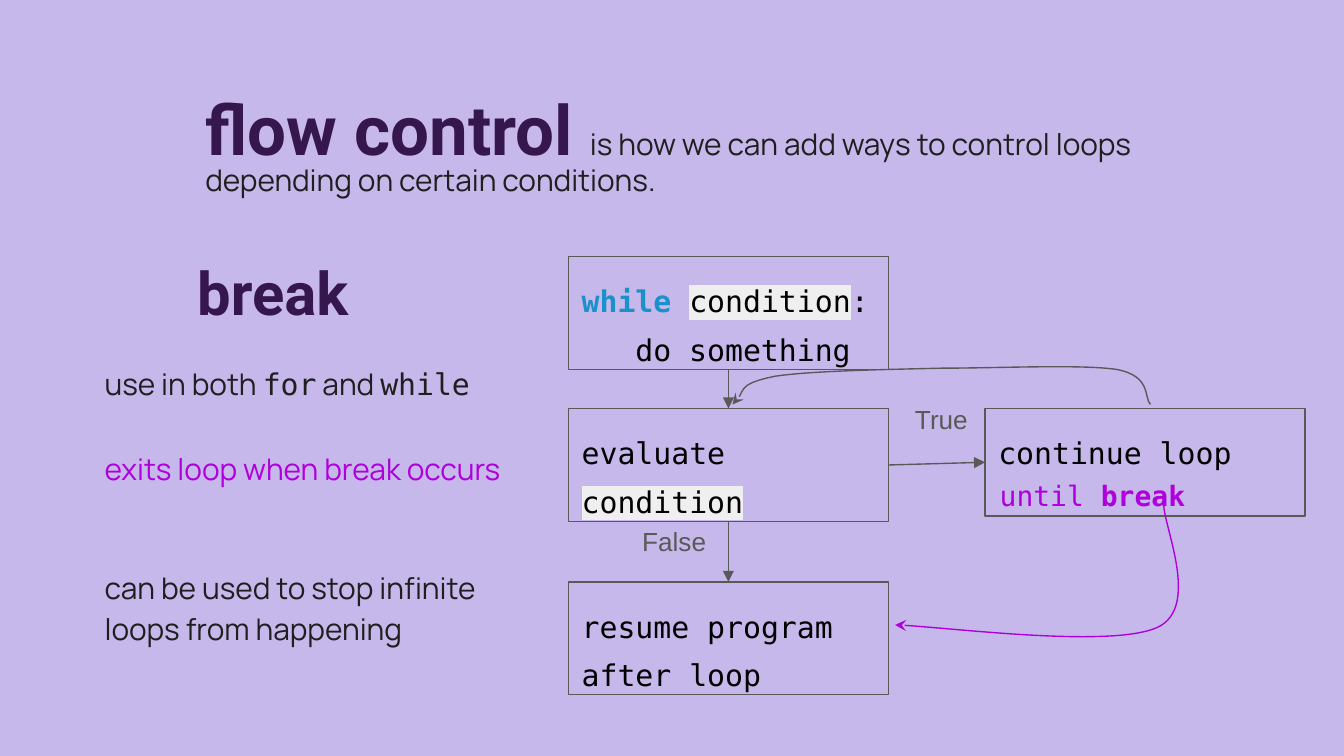
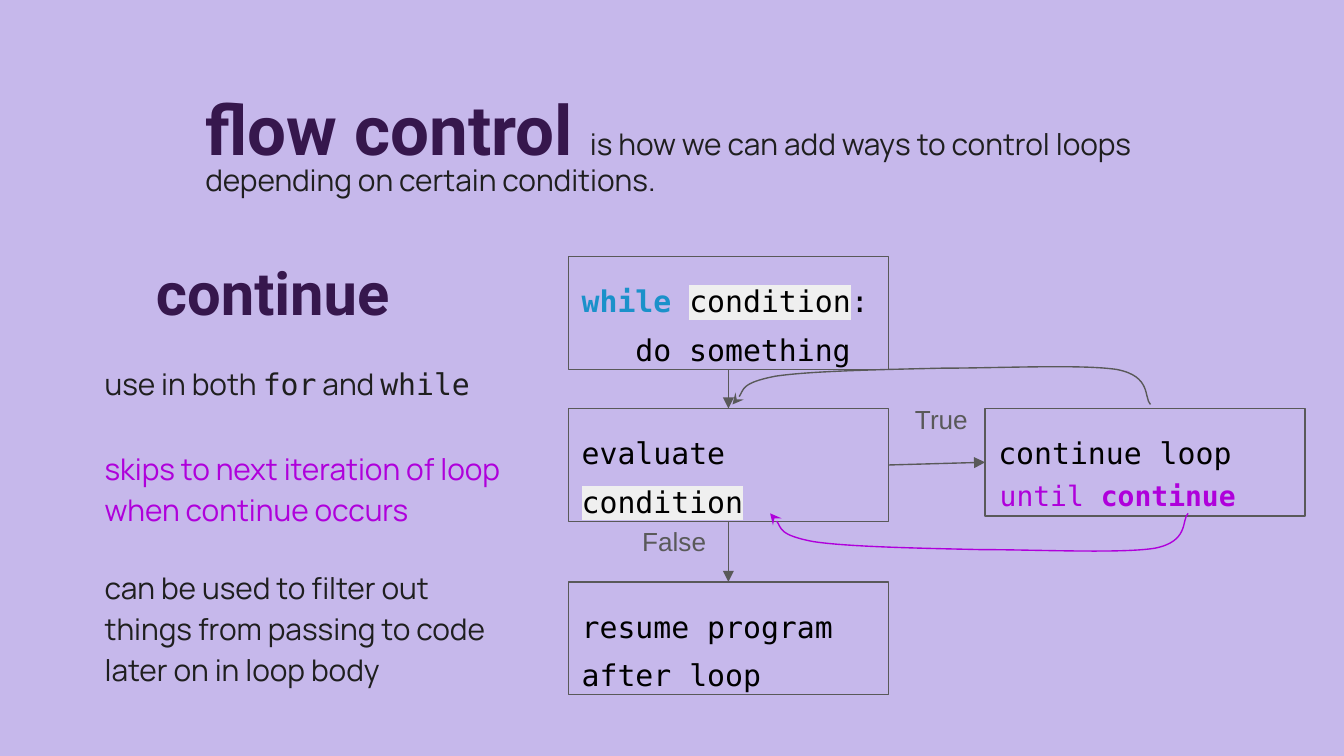
from lxml import etree
from pptx import Presentation
from pptx.dml.color import RGBColor
from pptx.enum import shapes, text
from pptx.oxml import ns
from pptx.util import Inches, Pt

COLORS = {
    "ground": "C6B8EB", "title": "36174D", "body": "1F1F1F", "accent": "AF00DB",
    "line": "595959", "keyword": "1B91CA", "code": "000000", "mark": "EFEFEF",
}
STYLES = {
    "title": dict(size=37, font="Roboto", color="title", bold=True),
    "heading": dict(size=32, font="Roboto", color="title", bold=True),
    "body": dict(size=16, font="Manrope", color="body"),
    "body_code": dict(size=16, font="DejaVu Sans Mono", color="body"),
    "accent": dict(size=16, font="Manrope", color="accent"),
    "label": dict(size=14, font="Arial", color="line"),
    "code": dict(size=16, font="DejaVu Sans Mono", color="code"),
    "marked": dict(size=16, font="DejaVu Sans Mono", color="code", mark="mark"),
    "keyword": dict(size=16, font="DejaVu Sans Mono", color="keyword", bold=True),
    "until": dict(size=15, font="DejaVu Sans Mono", color="accent"),
    "exit": dict(size=15, font="DejaVu Sans Mono", color="accent", bold=True),
}

INTRO = [[("flow control ", "title"),
          ("is how we can add ways to control loops depending on certain conditions.", "body")]]
USAGE = [("use in both ", "body"), ("for", "body_code"),
         (" and ", "body"), ("while", "body_code")]
LOOP_BACK = [(85.6, 30.1), (85.1, 29.6), (85.7, 28), (83.1, 27.5),
             (80.5, 27.1), (74.3, 27.4), (70.1, 27.4),
             (65.9, 27.5), (60.3, 27.6), (57.7, 28),
             (55.1, 28.5), (55.1, 29.7), (54.5, 30.1)]
BREAK_OUT = [(86.6, 37.5), (86.5, 39), (89.4, 45.2), (86.1, 46.7),
             (82.7, 48.2), (69.9, 46.6), (66.6, 46.5)]
SKIP_BACK = [(x + 2.8, 68.3 - y) for x, y in LOOP_BACK]

SLIDES = [
    dict(word="break", effect="exits loop when break occurs",
         purpose="can be used to stop infinite loops from happening", jump=BREAK_OUT),
    dict(word="continue", effect="skips to next iteration of loop when continue occurs",
         purpose="can be used to filter out things from passing to code later on in loop body",
         jump=SKIP_BACK),
]

FLOW_X, SIDE_X, BOX_W, BOX_H = 42.3, 73.3, 23.8, 8.4
NOTE_X, NOTE_W = 6.8, 32.8
FLOW = {
    "start": (FLOW_X, 19.1, BOX_W, BOX_H,
              [[("while ", "keyword"), ("condition", "marked"), (":", "code")],
               [("do something", "code")]], 4),
    "test": (FLOW_X, 30.4, BOX_W, BOX_H,
             [[("evaluate ", "code"), ("condition", "marked")]], 0),
    "body": (SIDE_X, 30.4, BOX_W, 8, [[("continue loop", "code")]], 0),
    "after": (FLOW_X, 43.3, BOX_W, BOX_H,
              [[("resume program", "code")], [("after loop", "code")]], 0),
}
LINKS = [("start", 2, "test", 0), ("test", 3, "body", 1), ("test", 2, "after", 0)]
LABELS = [("True", 67.1, 29, 6.6), ("False", 46.8, 38.1, 7.4)]

prs = Presentation()
prs.slide_width, prs.slide_height = Inches(10), Inches(5.625)


def share(n):
    return round(n * prs.slide_width / 100)


def rgb(name):
    return RGBColor.from_string(COLORS[name])


def add_run(p, content, size, font, color, bold=False, mark=None):
    r = p.add_run()
    r.text = content
    r.font.size, r.font.bold = Pt(size), bold
    r.font.color.rgb = rgb(color)
    if mark:
        hl = etree.SubElement(r.font._element, ns.qn("a:highlight"))
        etree.SubElement(hl, ns.qn("a:srgbClr"), val=COLORS[mark])
    r.font.name = font


def write(sp, paragraphs, spacing=1.0, before=0, after=0, align="LEFT", last_indent=0):
    tf = sp.text_frame
    tf.word_wrap = True
    tf.vertical_anchor = text.MSO_ANCHOR.TOP
    tf.margin_left = tf.margin_right = tf.margin_top = tf.margin_bottom = share(1)
    for i, runs in enumerate(paragraphs):
        p = tf.add_paragraph() if i else tf.paragraphs[0]
        p.alignment = text.PP_ALIGN[align]
        p.line_spacing = spacing
        p.space_before, p.space_after = Pt(before), Pt(after)
        for content, style in runs:
            add_run(p, content, **STYLES[style])
    if last_indent:
        p._p.get_or_add_pPr().set("marL", str(share(last_indent)))


def add_text(s, x, y, w, h, paragraphs, **fmt):
    write(s.shapes.add_textbox(*map(share, (x, y, w, h))), paragraphs, **fmt)


def add_box(s, x, y, w, h, paragraphs, last_indent):
    sp = s.shapes.add_shape(shapes.MSO_SHAPE.RECTANGLE, *map(share, (x, y, w, h)))
    sp.shadow.inherit = False
    sp.fill.background()
    draw_line(sp, "line")
    write(sp, paragraphs, spacing=1.36, last_indent=last_indent)
    return sp


def draw_line(sp, color, head=None):
    sp.line.color.rgb, sp.line.width = rgb(color), Pt(0.75)
    if head:
        etree.SubElement(sp.line._get_or_add_ln(), ns.qn("a:tailEnd"), type=head)


def add_link(s, a, a_side, b, b_side):
    c = s.shapes.add_connector(shapes.MSO_CONNECTOR.STRAIGHT, 0, 0, 0, 0)
    c.begin_connect(a, a_side)
    c.end_connect(b, b_side)
    draw_line(c, "line", "triangle")
    etree.SubElement(c._element.spPr, ns.qn("a:effectLst"))


def add_curve(s, points, color):
    start, *rest = [(share(x), share(y)) for x, y in points]
    fb = s.shapes.build_freeform(*start)
    fb.add_line_segments(rest, close=False)
    sp = fb.convert_to_shape()
    sp.shadow.inherit = False
    sp.fill.background()
    draw_line(sp, color, "stealth")
    segments = sp._element.xpath(".//a:lnTo")
    for i in range(0, len(segments), 3):
        bezier = etree.Element(ns.qn("a:cubicBezTo"))
        segments[i].addprevious(bezier)
        for seg in segments[i:i + 3]:
            bezier.append(seg[0])
            seg.getparent().remove(seg)


def add_flow(s):
    boxes = {name: add_box(s, *box) for name, box in FLOW.items()}
    for a, a_side, b, b_side in LINKS:
        add_link(s, boxes[a], a_side, boxes[b], b_side)
    for content, x, y, w in LABELS:
        add_text(s, x, y, w, 4.4, [[(content, "label")]])
    add_curve(s, LOOP_BACK, "line")


def add_slide(word, effect, purpose, jump):
    s = prs.slides.add_slide(prs.slide_layouts[6])
    s.background.fill.solid()
    s.background.fill.fore_color.rgb = rgb("ground")
    add_text(s, 14.3, 6.6, 73.4, 9.2, INTRO, spacing=0.8)
    add_text(s, 3.9, 19.1, NOTE_W, 6.3, [[(word, "heading")]], spacing=0.8, align="CENTER")
    notes = [(25.8, 4.7, USAGE), (32.1, 7.8, [(effect, "accent")]),
             (41, 10.9, [(purpose, "body")])]
    for y, h, runs in notes:
        add_text(s, NOTE_X, y, NOTE_W, h, [runs], spacing=1.15, before=6, after=5)
    add_flow(s)
    add_curve(s, jump, "accent")
    add_text(s, SIDE_X + 0.1, 33.7, NOTE_W - 6, 4.5,
             [[("until ", "until"), (word, "exit")]], spacing=1.36)


def main():
    for content in SLIDES:
        add_slide(**content)
    prs.save("out.pptx")


if __name__ == "__main__":
    main()
